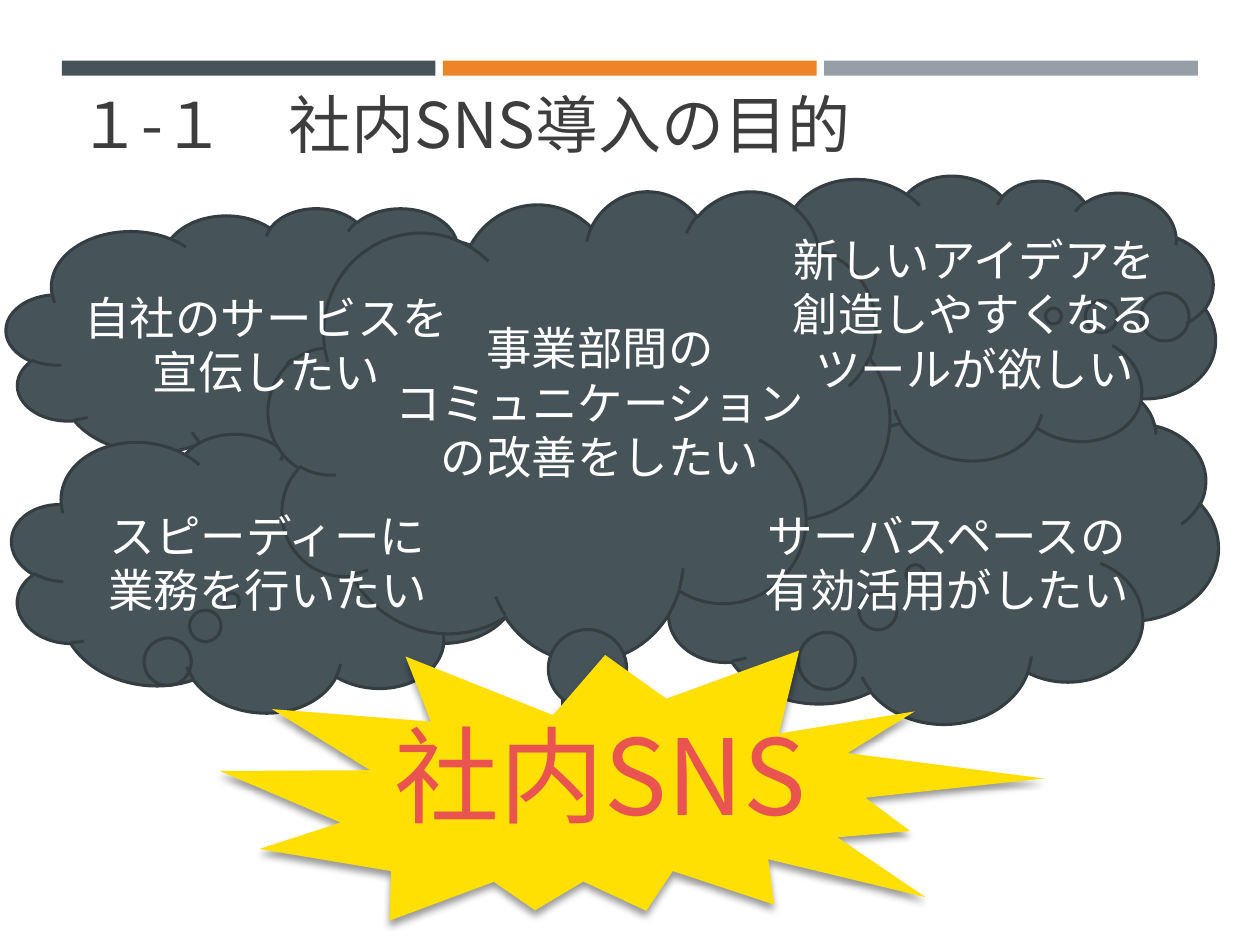
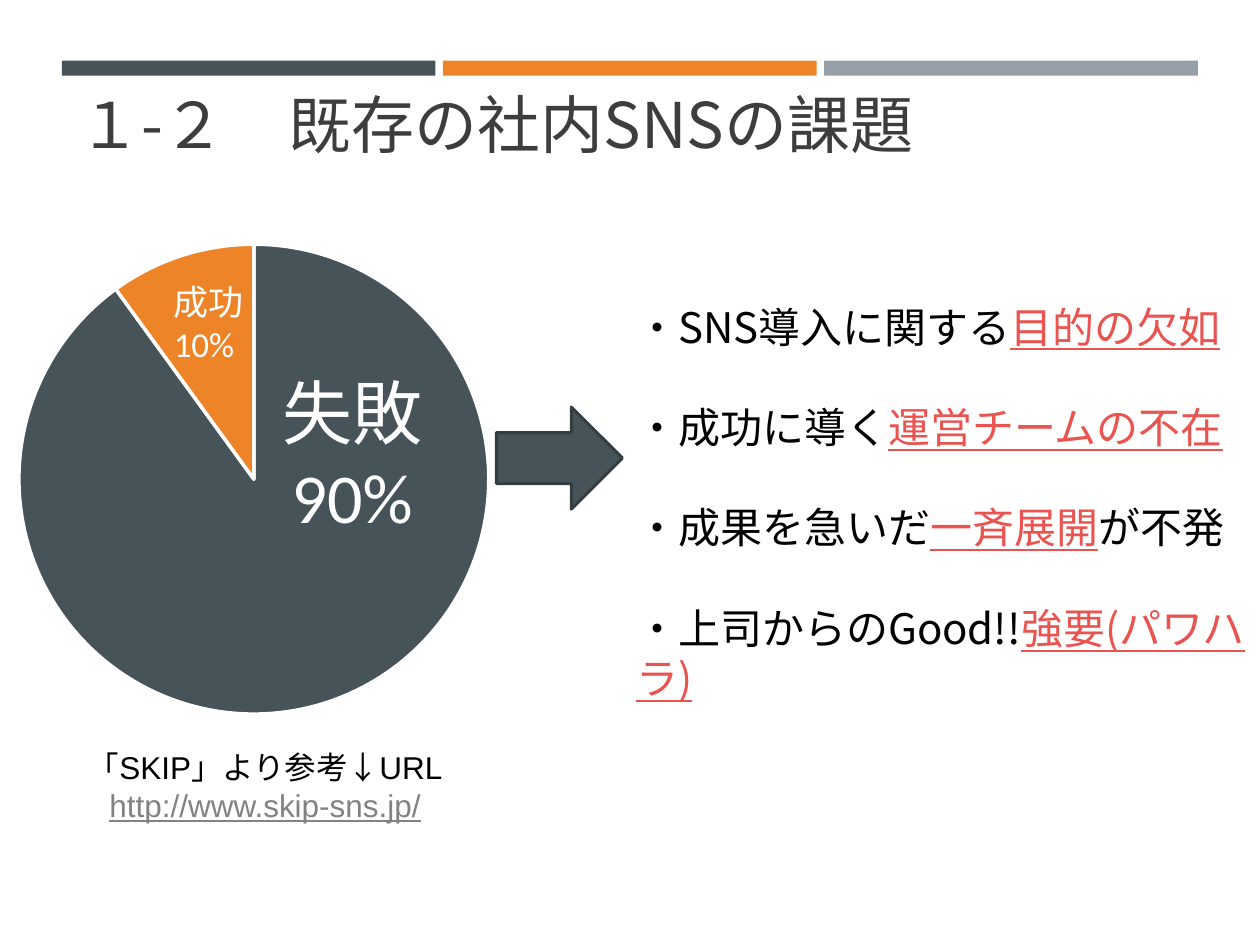
from dataclasses import dataclass
from typing import NamedTuple

from lxml import etree
from pptx import Presentation
from pptx.chart.data import CategoryChartData
from pptx.dml.color import RGBColor
from pptx.enum.chart import XL_CHART_TYPE as ChartType
from pptx.enum.shapes import MSO_SHAPE as Preset
from pptx.enum.text import MSO_ANCHOR as Anchor, MSO_AUTO_SIZE as AutoSize, PP_ALIGN as Align
from pptx.oxml import parse_xml
from pptx.oxml.ns import nsdecls, qn
from pptx.shapes.autoshape import Shape
from pptx.slide import Slide
from pptx.text.text import TextFrame
from pptx.util import Pt

COLORS = {
    "slate": "465359",
    "slate_edge": "343D42",
    "orange": "ED8428",
    "gray": "969FA7",
    "title": "3D3D3D",
    "yellow": "FFE002",
    "red": "E95450",
    "url": "828282",
    "white": "FFFFFF",
    "black": "000000",
}
JAPANESE_FONT = "Noto Sans CJK JP"
LINE_HEIGHT = 1.2  # line pitch per point of text size
TITLE_ONLY = 5


class Box(NamedTuple):
    left: float
    top: float
    width: float
    height: float

    def lengths(self) -> list[Pt]:
        return [Pt(value) for value in self]


class Span(NamedTuple):
    text: str
    color: str
    underline: bool = False


@dataclass(frozen=True)
class TextStyle:
    size: float
    latin: str = JAPANESE_FONT
    align: Align = Align.CENTER
    gap: float = 0
    right_inset: float = 7.2


@dataclass(frozen=True)
class Cloud:
    box: Box
    tail: tuple[float, float]
    rotation: float = 0


@dataclass(frozen=True)
class Label:
    box: Box
    lines: tuple[str, ...]


TITLE_BOX = Box(37.4, 45.4, 629.3, 52.6)
TITLE_STYLE = TextStyle(36, align=Align.LEFT)
WISH_STYLE = TextStyle(26)
SEAL_STYLE = TextStyle(60)
ISSUE_STYLE = TextStyle(24, align=Align.LEFT, gap=28.6, right_inset=0)
SOURCE_STYLE = TextStyle(18, latin="Arial")
SUCCESS_STYLE = TextStyle(20, latin="Calibri", align=Align.LEFT)
FAILURE_STYLE = TextStyle(40, latin="Calibri")

BAND_COLORS = ("slate", "orange", "gray")
FIRST_BAND = Box(35.3, 34.6, 213.6, 8.6)
BAND_STEP = 217.8

CLOUDS = (
    Cloud(Box(3.6, 118.8, 290.2, 148.3), (0.067, 0.112)),
    Cloud(Box(375.1, 218.2, 321.1, 195.1), (-0.039, 0.063)),
    Cloud(Box(5.8, 244.8, 290.2, 162), (-0.058, 0.119), 5.3),
    Cloud(Box(418.3, 97.9, 277.2, 164.9), (0.161, -0.039), 8.6),
    Cloud(Box(153.4, 108.7, 355, 268.6), (0.016, 0.61)),
)
WISHES = (
    Label(Box(18.7, 162, 267.1, 70.6), ("自社のサービスを", "宣伝したい")),
    Label(Box(423.4, 128.9, 267.1, 101.5),
          ("新しいアイデアを", "創造しやすくなる", "ツールが欲しい")),
    Label(Box(19.4, 286.6, 267.1, 70.6), ("スピーディーに", "業務を行いたい")),
    Label(Box(407.5, 286.6, 267.1, 70.6), ("サーバスペースの", "有効活用がしたい")),
    Label(Box(209.5, 179.3, 267.1, 101.5),
          ("事業部間の", "コミュニケーション", "の改善をしたい")),
)
SEAL_BOX = Box(126, 360.7, 468, 181.4)
SEAL_TEXT_BOX = Box(209.5, 402.5, 267.1, 79.9)

PIE_BOX = Box(0, 125.3, 290.2, 297.4)
PIE_AREA = {"x": 0.037, "y": 0.048, "w": 0.926, "h": 0.903}
ARROW_BOX = Box(283.7, 232.6, 72, 58.3)
ISSUES_BOX = Box(356.4, 168.5, 360, 211)
ISSUES = (
    (Span("・SNS導入に関する", "black"), Span("目的の欠如", "red", True)),
    (Span("・成功に導く", "black"), Span("運営チームの不在", "red", True)),
    (Span("・成果を急いだ", "black"), Span("一斉展開", "red", True), Span("が不発", "black")),
    (Span("・上司からのGood!!", "black"), Span("強要(パワハラ)", "red", True)),
)
SOURCE_BOX = Box(10, 424, 283, 52)
SOURCE = (
    (Span("「SKIP」より参考↓URL", "black"),),
    (Span("http://www.skip-sns.jp/", "url", True),),
)
SUCCESS_BOX = Box(92.2, 157, 102.2, 55.4)
FAILURE_BOX = Box(132.5, 207.4, 137.5, 104.4)


def rgb(color: str) -> RGBColor:
    return RGBColor.from_string(COLORS[color])


def plain(lines: tuple[str, ...], color: str) -> tuple[tuple[Span, ...], ...]:
    """Turn lines of one colour into paragraphs of a single span."""
    return tuple((Span(line, color),) for line in lines)


def write(frame: TextFrame, paragraphs: tuple[tuple[Span, ...], ...], style: TextStyle) -> None:
    frame.word_wrap = True
    frame.auto_size = AutoSize.NONE
    frame.vertical_anchor = Anchor.TOP
    frame.margin_right = Pt(style.right_inset)
    for index, spans in enumerate(paragraphs):
        paragraph = frame.add_paragraph() if index else frame.paragraphs[0]
        paragraph.alignment = style.align
        paragraph.line_spacing = Pt(LINE_HEIGHT * style.size)
        paragraph.space_before = Pt(style.gap if index else 0)
        for span in spans:
            run = paragraph.add_run()
            run.text = span.text
            run.font.size = Pt(style.size)
            run.font.name = style.latin
            run.font.color.rgb = rgb(span.color)
            if span.underline:
                run.font.underline = True
            east_asian = etree.SubElement(run._r.get_or_add_rPr(), qn("a:ea"))
            east_asian.set("typeface", JAPANESE_FONT)


def add_text(slide: Slide, box: Box, paragraphs: tuple[tuple[Span, ...], ...],
             style: TextStyle) -> None:
    write(slide.shapes.add_textbox(*box.lengths()).text_frame, paragraphs, style)


def add_preset(slide: Slide, preset: Preset, box: Box, fill: str, edge: str | None = None) -> Shape:
    shape = slide.shapes.add_shape(preset, *box.lengths())
    shape.shadow.inherit = False
    shape.fill.solid()
    shape.fill.fore_color.rgb = rgb(fill)
    if edge:
        shape.line.color.rgb = rgb(edge)
        shape.line.width = Pt(1.75)
    else:
        shape.line.fill.background()
    return shape


def add_titled_slide(deck: Presentation, heading: str) -> Slide:
    """Add a slide with the shared title style and the three bands."""
    slide = deck.slides.add_slide(deck.slide_layouts[TITLE_ONLY])
    title = slide.shapes.title
    title.left, title.top, title.width, title.height = TITLE_BOX.lengths()
    write(title.text_frame, plain((heading,), "title"), TITLE_STYLE)
    for index, color in enumerate(BAND_COLORS):
        band = FIRST_BAND._replace(left=FIRST_BAND.left + index * BAND_STEP)
        add_preset(slide, Preset.RECTANGLE, band, color)
    return slide


def add_drop_shadow(shape: Shape) -> None:
    effects = shape._element.spPr.find(qn("a:effectLst"))
    effects.append(parse_xml(
        f'<a:outerShdw {nsdecls("a")} blurRad="{Pt(4)}" dist="{Pt(3)}" dir="5400000" '
        f'rotWithShape="0"><a:srgbClr val="{COLORS["black"]}"><a:alpha val="40000"/>'
        '</a:srgbClr></a:outerShdw>'))


def add_result_pie(slide: Slide) -> None:
    results = CategoryChartData()
    results.categories = ["1", "2"]
    results.add_series("Series 1", (90, 10))
    chart = slide.shapes.add_chart(ChartType.PIE, *PIE_BOX.lengths(), results).chart
    chart.has_legend = False
    chart.has_title = False
    chart.font.size = Pt(10)
    chart.font.name = "Calibri"
    chart.font.color.rgb = rgb("black")
    pie = chart.plots[0]
    pie.vary_by_categories = True
    for index, color in enumerate(("slate", "orange")):
        slice_format = pie.series[0].points[index].format
        slice_format.fill.solid()
        slice_format.fill.fore_color.rgb = rgb(color)
        slice_format.line.color.rgb = rgb("white")
        slice_format.line.width = Pt(2)

    plot_area = chart._chartSpace.chart.plotArea
    for old_layout in plot_area.findall(qn("c:layout")):
        plot_area.remove(old_layout)
    modes = "".join(f'<c:{axis}Mode val="edge"/>' for axis in "xy")
    places = "".join(f'<c:{side} val="{part}"/>' for side, part in PIE_AREA.items())
    plot_area.insert(0, parse_xml(
        f'<c:layout {nsdecls("c")}><c:manualLayout><c:layoutTarget val="inner"/>'
        f'{modes}{places}</c:manualLayout></c:layout>'))


def build_purpose_slide(deck: Presentation) -> None:
    slide = add_titled_slide(deck, "１-１　社内SNS導入の目的")
    for cloud in CLOUDS:
        bubble = add_preset(slide, Preset.CLOUD_CALLOUT, cloud.box, "slate", "slate_edge")
        bubble.rotation = cloud.rotation
        for index, offset in enumerate(cloud.tail):
            bubble.adjustments[index] = offset
    seal = add_preset(slide, Preset.EXPLOSION2, SEAL_BOX, "yellow")
    seal.rotation = 6.9
    add_drop_shadow(seal)
    add_text(slide, SEAL_TEXT_BOX, plain(("社内SNS",), "red"), SEAL_STYLE)
    for wish in WISHES:
        add_text(slide, wish.box, plain(wish.lines, "white"), WISH_STYLE)


def build_issues_slide(deck: Presentation) -> None:
    slide = add_titled_slide(deck, "１-２　既存の社内SNSの課題")
    add_result_pie(slide)
    add_preset(slide, Preset.RIGHT_ARROW, ARROW_BOX, "slate", "slate_edge")
    add_text(slide, ISSUES_BOX, ISSUES, ISSUE_STYLE)
    add_text(slide, SOURCE_BOX, SOURCE, SOURCE_STYLE)
    add_text(slide, SUCCESS_BOX, plain(("成功", "10%"), "white"), SUCCESS_STYLE)
    add_text(slide, FAILURE_BOX, plain(("失敗", "90%"), "white"), FAILURE_STYLE)


def main() -> None:
    deck = Presentation()
    deck.slide_width, deck.slide_height = Pt(720), Pt(540)
    build_purpose_slide(deck)
    build_issues_slide(deck)
    deck.save("out.pptx")


if __name__ == "__main__":
    main()
